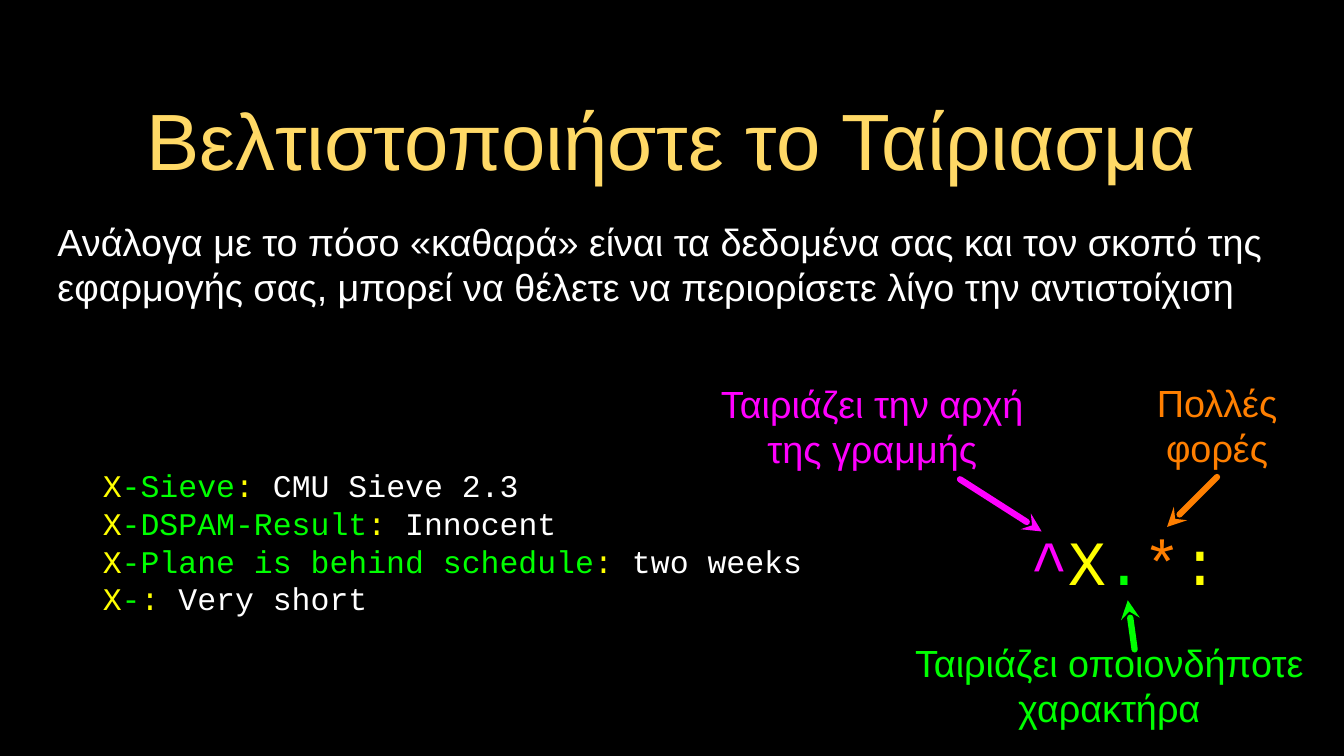
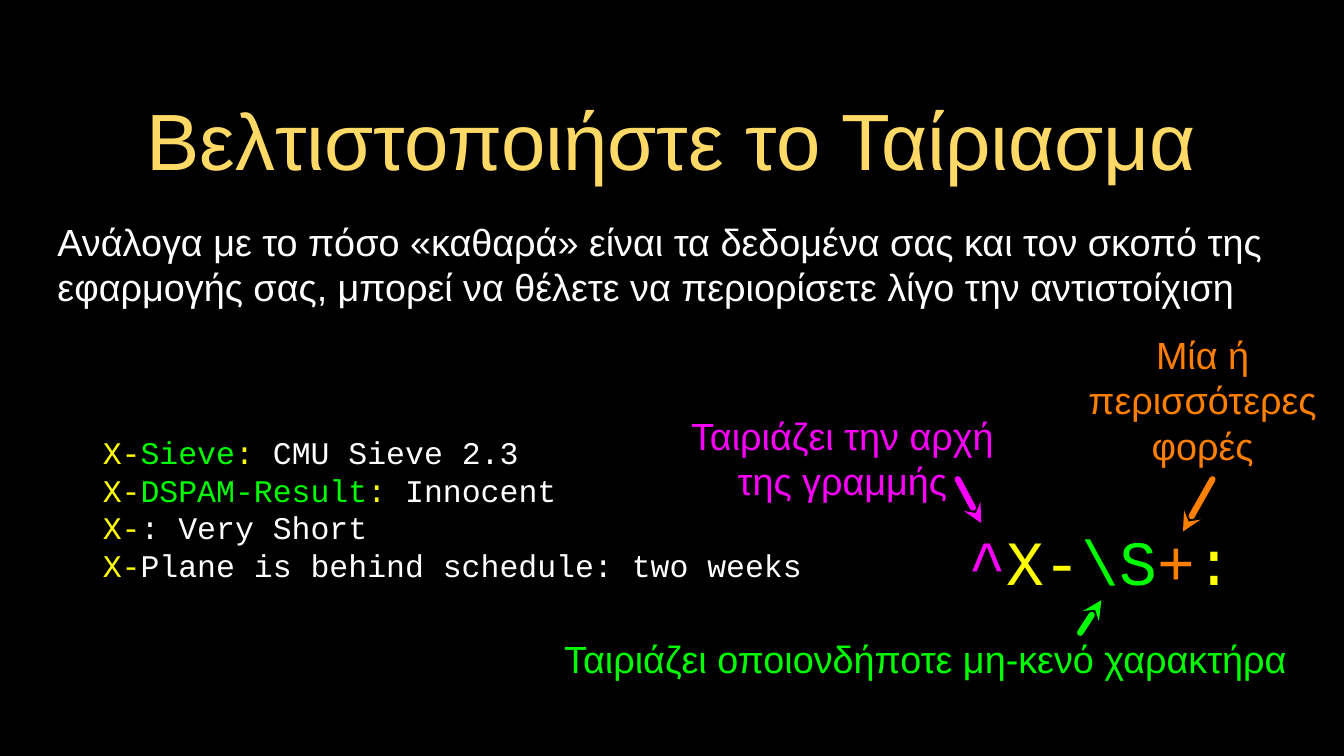
import lxml.etree
import pptx
import pptx.dml.color
import pptx.enum.shapes
import pptx.enum.text
import pptx.oxml.ns
import pptx.util

RGBColor = pptx.dml.color.RGBColor
BLACK = RGBColor(0x00, 0x00, 0x00)
WHITE = RGBColor(0xFF, 0xFF, 0xFF)
GOLD = RGBColor(0xFF, 0xD9, 0x66)
YELLOW = RGBColor(0xFF, 0xFF, 0x00)
GREEN = RGBColor(0x00, 0xFF, 0x00)
DASH_GREEN = RGBColor(0x00, 0xFA, 0x00)
MAGENTA = RGBColor(0xFF, 0x00, 0xFF)
ORANGE = RGBColor(0xFF, 0x7F, 0x00)

PX = 9144
SLIDE_SIZE = (1778, 1000)
TITLE_BOX = (126, 89, 1524, 189)
BODY_BOX = (72, 285, 1634, 165)
SANS = "Arial"
MONO = "Courier New"
LEFT = pptx.enum.text.PP_ALIGN.LEFT
CENTER = pptx.enum.text.PP_ALIGN.CENTER
TOP = pptx.enum.text.MSO_ANCHOR.TOP
MIDDLE = pptx.enum.text.MSO_ANCHOR.MIDDLE

TITLE = "Βελτιστοποιήστε το Ταίριασμα"
BODY = (
    "Ανάλογα με το πόσο «καθαρά» είναι τα δεδομένα σας και τον σκοπό της "
    "εφαρμογής σας, μπορεί να θέλετε να περιορίσετε λίγο την αντιστοίχιση"
)
LINE_START = "Ταιριάζει την αρχή της γραμμής"


def emu(lengths):
    return [length * PX for length in lengths]


def prepare_frame(text_frame, inset, anchor):
    text_frame.word_wrap = True
    text_frame.auto_size = pptx.enum.text.MSO_AUTO_SIZE.NONE
    text_frame.vertical_anchor = anchor
    text_frame.margin_left = text_frame.margin_right = inset * PX
    text_frame.margin_top = text_frame.margin_bottom = inset * PX


def format_run(run, font_name, size, color):
    run.font.name = font_name
    run.font.size = pptx.util.Pt(size)
    run.font.color.rgb = color


def fill_placeholder(placeholder, box, text, size, color, alignment, anchor):
    placeholder.left, placeholder.top, placeholder.width, placeholder.height = emu(box)
    prepare_frame(placeholder.text_frame, 4, anchor)
    placeholder.text_frame.text = text
    paragraph = placeholder.text_frame.paragraphs[0]
    paragraph.alignment = alignment
    paragraph.space_before = pptx.util.Pt(0)
    paragraph.line_spacing = pptx.util.Pt(size * 1.2)
    format_run(paragraph.runs[0], SANS, size, color)
    return paragraph


def add_heading(slide):
    fill_placeholder(slide.shapes.title, TITLE_BOX, TITLE, 76, GOLD, CENTER, MIDDLE)
    paragraph = fill_placeholder(
        slide.placeholders[1], BODY_BOX, BODY, 36, WHITE, LEFT, TOP
    )
    properties = paragraph._p.get_or_add_pPr()
    properties.set("marL", "0")
    properties.set("indent", "0")
    no_bullet = lxml.etree.Element(pptx.oxml.ns.qn("a:buNone"))
    properties.find(pptx.oxml.ns.qn("a:spcBef")).addnext(no_bullet)


def add_colored_lines(slide, box, lines, font_name, size, alignment):
    text_frame = slide.shapes.add_textbox(*emu(box)).text_frame
    prepare_frame(text_frame, 0, MIDDLE)
    for index, parts in enumerate(lines):
        paragraph = text_frame.add_paragraph() if index else text_frame.paragraphs[0]
        paragraph.alignment = alignment
        paragraph.line_spacing = pptx.util.Pt(size * 1.2)
        for text, color in parts:
            run = paragraph.add_run()
            run.text = text
            format_run(run, font_name, size, color)


def add_arrow(slide, tip, tail, color):
    connector = slide.shapes.add_connector(
        pptx.enum.shapes.MSO_CONNECTOR.STRAIGHT, *emu(tip + tail)
    )
    connector.line.color.rgb = color
    connector.line.width = pptx.util.Pt(6)
    line = connector.line._get_or_add_ln()
    line.set("cap", "rnd")
    lxml.etree.SubElement(line, pptx.oxml.ns.qn("a:round"))
    lxml.etree.SubElement(line, pptx.oxml.ns.qn("a:headEnd"), type="stealth")
    lxml.etree.SubElement(connector._element.spPr, pptx.oxml.ns.qn("a:effectLst"))


def add_pattern(slide, pattern_box, pattern, callouts):
    add_colored_lines(slide, pattern_box, [pattern], MONO, 60, CENTER)
    for label, color, label_box, tip, tail in callouts:
        add_colored_lines(slide, label_box, [[(label, color)]], SANS, 36, CENTER)
        add_arrow(slide, tip, tail, color)


def add_match_slide(presentation, code_box, code, pattern_box, pattern, callouts):
    slide = presentation.slides.add_slide(presentation.slide_layouts[1])
    add_heading(slide)
    add_colored_lines(slide, code_box, code, MONO, 30, LEFT)
    add_pattern(slide, pattern_box, pattern, callouts)


def add_any_character_slide(presentation):
    code = [
        [("X", YELLOW), ("-Sieve", GREEN), (": ", YELLOW), ("CMU Sieve 2.3", WHITE)],
        [("X", YELLOW), ("-DSPAM-Result", GREEN), (": ", YELLOW), ("Innocent", WHITE)],
        [
            ("X", YELLOW),
            ("-", DASH_GREEN),
            ("Plane is behind schedule", GREEN),
            (": ", YELLOW),
            ("two weeks", WHITE),
        ],
        [("X", YELLOW), ("-", DASH_GREEN), (": ", YELLOW), ("Very short", WHITE)],
    ]
    pattern = [
        ("^", MAGENTA), ("X", YELLOW), (".", GREEN), ("*", ORANGE), (":", YELLOW)
    ]
    callouts = [
        (LINE_START, MAGENTA, (947, 493, 414, 141), (1378, 703), (1270, 634)),
        (
            "Ταιριάζει οποιονδήποτε χαρακτήρα",
            GREEN, (1204, 872, 527, 68), (1492, 794), (1501, 859),
        ),
        ("Πολλές φορές", ORANGE, (1489, 493, 242, 138), (1544, 697), (1610, 631)),
    ]
    add_match_slide(
        presentation, (136, 597, 962, 239), code, (1320, 688, 336, 107), pattern, callouts
    )


def add_non_blank_slide(presentation):
    code = [
        [("X-", YELLOW), ("Sieve", GREEN), (": ", YELLOW), ("CMU Sieve 2.3", WHITE)],
        [("X-", YELLOW), ("DSPAM-Result", GREEN), (": ", YELLOW), ("Innocent", WHITE)],
        [("X-", YELLOW), (": Very Short", WHITE)],
        [("X-", YELLOW), ("Plane is behind schedule: two weeks", WHITE)],
    ]
    pattern = [
        ("^", MAGENTA), ("X-", YELLOW), ("\\S", GREEN), ("+", ORANGE), (":", YELLOW)
    ]
    callouts = [
        (LINE_START, MAGENTA, (902, 540, 425, 131), (1298, 692), (1267, 634)),
        (
            "Ταιριάζει οποιονδήποτε μη-κενό χαρακτήρα",
            GREEN, (721, 837, 1007, 68), (1457, 794), (1429, 837),
        ),
        (
            "Μία ή περισσότερες φορές",
            ORANGE, (1413, 466, 356, 125), (1565, 703), (1604, 634),
        ),
    ]
    add_match_slide(
        presentation, (136, 509, 960, 327), code, (1278, 688, 356, 107), pattern, callouts
    )


def main():
    presentation = pptx.Presentation()
    presentation.slide_width, presentation.slide_height = emu(SLIDE_SIZE)
    background = presentation.slide_master.background.fill
    background.solid()
    background.fore_color.rgb = BLACK
    add_any_character_slide(presentation)
    add_non_blank_slide(presentation)
    presentation.save("out.pptx")


if __name__ == "__main__":
    main()
